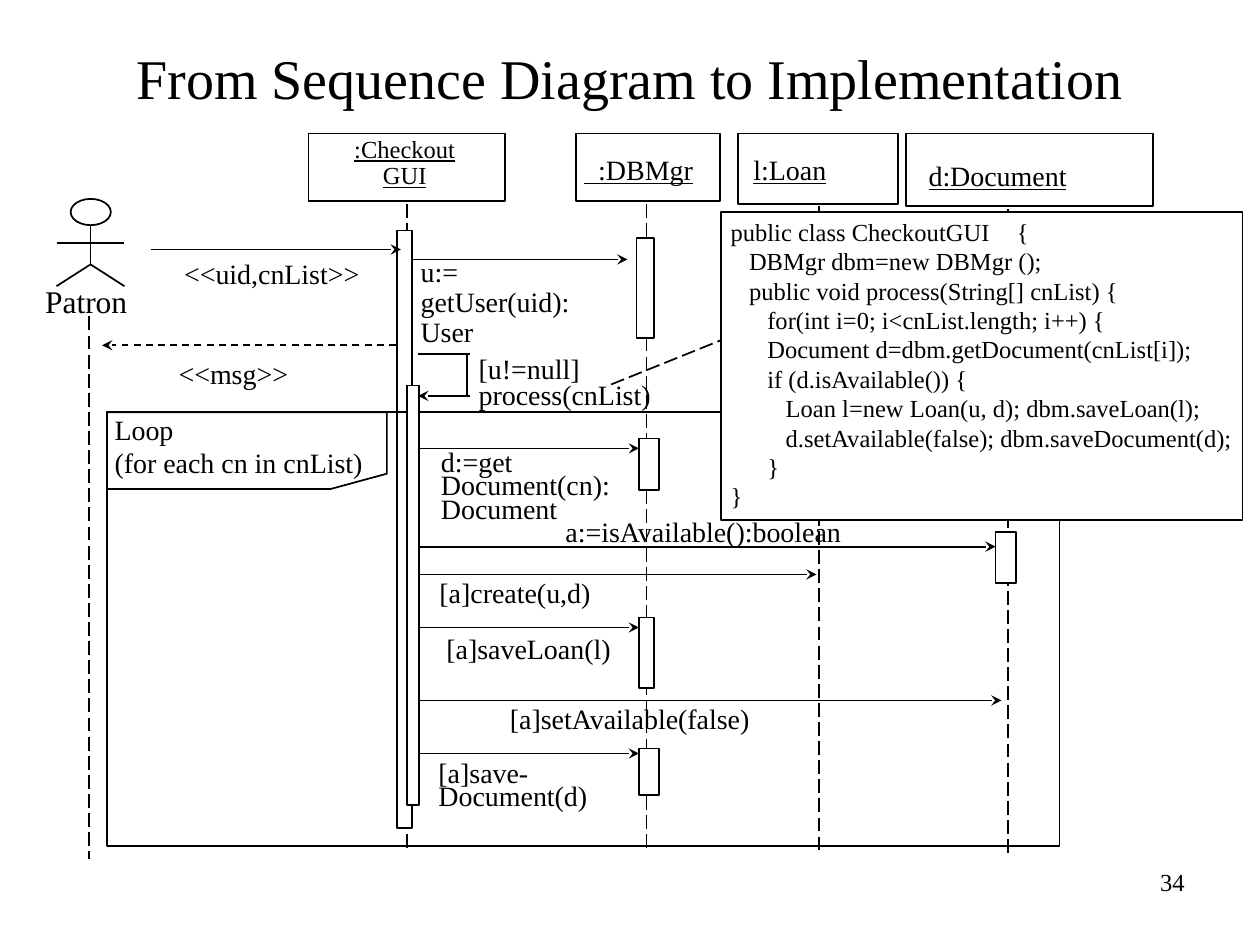
from dataclasses import dataclass

from lxml import etree
from pptx import Presentation
from pptx.dml.color import RGBColor
from pptx.enum.dml import MSO_LINE
from pptx.enum.shapes import MSO_CONNECTOR, MSO_SHAPE
from pptx.enum.text import MSO_ANCHOR, PP_ALIGN
from pptx.oxml.ns import qn
from pptx.util import Cm, Pt

RECT, OVAL = MSO_SHAPE.RECTANGLE, MSO_SHAPE.OVAL
STRAIGHT = MSO_CONNECTOR.STRAIGHT
DASH, LONG_DASH = MSO_LINE.DASH, MSO_LINE.LONG_DASH
LEFT, CENTER, RIGHT = PP_ALIGN.LEFT, PP_ALIGN.CENTER, PP_ALIGN.RIGHT
TOP, MIDDLE = MSO_ANCHOR.TOP, MSO_ANCHOR.MIDDLE


@dataclass(frozen=True)
class Theme:
    """Colours, font and type sizes."""
    ink: RGBColor = RGBColor(0, 0, 0)
    paper: RGBColor = RGBColor(255, 255, 255)
    font: str = "Times New Roman"
    title: int = 32
    actor: int = 18
    body: int = 16
    small: int = 14
    stroke: int = 1


@dataclass(frozen=True)
class Box:
    """A region in centimetres."""
    x: float
    y: float
    w: float
    h: float

    def sub(self, x, y, w, h):
        """Return a box placed relative to this one."""
        return Box(self.x + x, self.y + y, w, h)

    def lengths(self):
        """Return left, top, width and height as lengths."""
        return Cm(self.x), Cm(self.y), Cm(self.w), Cm(self.h)


T = Theme()


def style(sp, filled):
    """Give a shape a thin outline and an optional paper fill."""
    sp.shadow.inherit = False
    sp.line.color.rgb = T.ink
    sp.line.width = Pt(T.stroke)
    if filled:
        sp.fill.solid()
        sp.fill.fore_color.rgb = T.paper
    else:
        sp.fill.background()


def add_box(s, box, filled=False, kind=RECT):
    """Draw an outlined preset shape."""
    style(s.shapes.add_shape(kind, *box.lengths()), filled)


def add_line(s, box, x1, y1, x2, y2, dash=None, arrow=False):
    """Draw a line between two points relative to the box."""
    c = s.shapes.add_connector(STRAIGHT, Cm(box.x + x1), Cm(box.y + y1),
                               Cm(box.x + x2), Cm(box.y + y2))
    c.line.color.rgb = T.ink
    c.line.width = Pt(T.stroke)
    if dash:
        c.line.dash_style = dash
    if arrow:
        etree.SubElement(c.line._get_or_add_ln(), qn("a:tailEnd"), type="stealth")
    etree.SubElement(c._element.spPr, qn("a:effectLst"))


def add_text(s, box, lines, size=T.body, align=LEFT, spacing=(1,),
             inset=True, underline=False, anchor=TOP):
    """Write one paragraph per line; the last spacing value repeats."""
    tf = s.shapes.add_textbox(*box.lengths()).text_frame
    tf.word_wrap = True
    tf.vertical_anchor = anchor
    if not inset:
        tf.margin_left = tf.margin_right = tf.margin_top = tf.margin_bottom = 0
    for i, line in enumerate(lines):
        p = tf.paragraphs[0] if i == 0 else tf.add_paragraph()
        p.alignment = align
        p.line_spacing = spacing[min(i, len(spacing) - 1)]
        r = p.add_run()
        r.text = line
        r.font.name, r.font.size = T.font, Pt(size)
        r.font.color.rgb = T.ink
        if underline:
            r.font.underline = True
    return tf


def participant(s, box, axis, name, name_at, bars, **text):
    """Draw a named head, its lifeline and its activation bars."""
    add_box(s, box)
    add_text(s, box.sub(*name_at), name, underline=True, **text)
    top = box.h + 0.05
    add_line(s, box, axis, top, axis, top + 13.08, LONG_DASH)
    for bar in bars:
        add_box(s, box.sub(*bar), filled=True)


def actor(s, box):
    """Draw the stick figure, its lifeline and its two messages."""
    mid, hip = box.w / 2, 1.32
    add_box(s, box.sub(mid - 0.4, 0, 0.81, 0.53), kind=OVAL)
    add_line(s, box, mid, 0.53, mid, hip)
    add_line(s, box, 0, 0.89, box.w, 0.89)
    for foot in (0, box.w):
        add_line(s, box, mid, hip, foot, box.h)
    add_text(s, box.sub(-0.23, 1.68, 1.8, 0.76), ["Patron"], T.actor, inset=False)
    add_line(s, box, 0.66, 2.37, 0.66, 13.31, LONG_DASH)
    add_line(s, box, 1.91, 1.02, 6.94, 1.02, arrow=True)
    add_text(s, box.sub(1.65, 1.04, 5.38, 0.94), ["<<uid,cnList>>"], align=CENTER)
    add_line(s, box, 6.84, 2.95, 0.92, 2.95, DASH, True)
    add_text(s, box.sub(2.21, 3.05, 2.9, 0.94), ["<<msg>>"])


def messages(s, box):
    """Draw the calls sent by the interface object, with their labels."""
    near, far = 4.45, box.w
    for x1, y, x2 in ((-0.1, 0.2, 4.22), (0, 4.01, near), (0, 5.99, far),
                      (-0.15, 6.55, 8.03), (0, 7.62, near),
                      (-0.05, 9.09, 11.76), (-0.05, 10.16, near)):
        add_line(s, box, x1, y, x2, y, arrow=True)
    add_line(s, box, 0, 2.11, 1.04, 2.11)
    add_line(s, box, 0.99, 2.11, 0.99, 2.95)
    add_line(s, box, 1.04, 2.95, 0, 2.95, arrow=True)
    labels = (
        (-0.2, 0.05, 5.21, 2.08, ["u:=", "getUser(uid):", "User"], (0.9,)),
        (0.97, 1.93, 4.17, 1.45, ["[u!=null]", "process(cnList)"], (1, 0.75)),
        (0.21, 3.99, 4.1, 1.68, ["d:=get", "Document(cn):", "Document"], (0.7,)),
        (2.72, 5.21, 6.4, 0.94, ["a:=isAvailable():boolean"], (1,)),
        (0.18, 6.45, 3.8, 0.94, ["[a]create(u,d)"], (1,)),
        (0.32, 7.77, 3.9, 0.74, ["[a]saveLoan(l)"], (0.7,)),
        (1.6, 8.99, 5.6, 0.94, ["[a]setAvailable(false)"], (1,)),
        (0.16, 10.26, 3.7, 1.19, ["[a]save-", "Document(d)"], (0.7,)),
    )
    for x, y, w, h, lines, spacing in labels:
        add_text(s, box.sub(x, y, w, h), lines, spacing=spacing)


def loop_frame(s, box):
    """Draw the loop frame with its cut-corner tab."""
    add_box(s, box)
    w, h = 5.64, 1.55
    points = [(0, h), (0, 0), (w, 0), (w, h - 0.31), (w - 1.14, h)]
    corners = [(Cm(box.x + x), Cm(box.y + y)) for x, y in points]
    fb = s.shapes.build_freeform(*corners[0])
    fb.add_line_segments(corners[1:], close=True)
    style(fb.convert_to_shape(), False)
    add_text(s, box.sub(0.15, 0, 5.94, 1.35),
             ["Loop", "(for each cn in cnList)"], inset=False)


def code_note(s, box):
    """Draw the code note and the line that ties it to its call."""
    code = (
        (0, "public class CheckoutGUI\t{"),
        (1, "DBMgr dbm=new DBMgr ();"),
        (1, "public void process(String[] cnList) {"),
        (2, "for(int i=0; i<cnList.length; i++) {"),
        (2, "Document d=dbm.getDocument(cnList[i]);"),
        (2, "if (d.isAvailable()) {"),
        (3, "Loan l=new Loan(u, d); dbm.saveLoan(l);"),
        (3, "d.setAvailable(false); dbm.saveDocument(d);"),
        (2, "}"),
        (0, "}"),
    )
    add_box(s, box, filled=True)
    tf = add_text(s, box.sub(0.2, 0.1, 10.3, 5.94), [line for _, line in code],
                  T.small, inset=False)
    for p, (level, _) in zip(tf.paragraphs, code):
        p._p.get_or_add_pPr().set("marL", str(Cm(0.37 * level)))
    tabs = etree.SubElement(tf.paragraphs[0]._p.get_or_add_pPr(), qn("a:tabLst"))
    etree.SubElement(tabs, qn("a:tab"), pos=str(Cm(5.77)), algn="l")
    add_line(s, box, -2.21, 3.48, 0, 2.59, LONG_DASH)


def main():
    """Build the slide and save it."""
    prs = Presentation()
    prs.slide_width, prs.slide_height = Cm(25.4), Cm(19.05)
    s = prs.slides.add_slide(prs.slide_layouts[6])
    add_text(s, Box(1.27, 0.76, 22.86, 1.57), ["From Sequence Diagram to Implementation"],
             T.title, CENTER, anchor=MIDDLE)
    participant(s, Box(6.22, 2.69, 3.96, 1.37), 1.98, [":Checkout", "GUI"],
                (0.64, -0.05, 2.6, 1.32), [(1.78, 1.96, 0.3, 12.04)],
                size=T.small, align=CENTER, spacing=(0.9,))
    participant(s, Box(11.61, 2.69, 2.9, 1.37), 1.42, ["  :DBMgr"],
                (-0.08, 0.26, 2.9, 0.94),
                [(1.22, 2.11, 0.36, 2.01), (1.27, 6.15, 0.41, 1.04),
                 (1.27, 9.76, 0.3, 1.42), (1.27, 12.4, 0.41, 0.94)])
    participant(s, Box(14.88, 2.69, 3.23, 1.42), 1.63, ["l:Loan"],
                (0.06, 0.26, 2.2, 0.94), [])
    participant(s, Box(18.26, 2.69, 4.98, 1.47), 2.06, ["d:Document"],
                (0.21, 0.38, 3.5, 0.94), [(1.81, 8.03, 0.41, 1.04)])
    actor(s, Box(1.14, 4.01, 1.37, 1.76))
    messages(s, Box(8.43, 5.03, 11.64, 11.45))
    loop_frame(s, Box(2.16, 8.31, 19.2, 8.74))
    code_note(s, Box(14.53, 4.27, 10.52, 6.22))
    add_box(s, Box(8.2, 7.77, 0.25, 8.46), filled=True)
    add_text(s, Box(18.21, 17.35, 5.92, 1.32), ["34"], T.small, RIGHT)
    prs.save("out.pptx")


if __name__ == "__main__":
    main()
